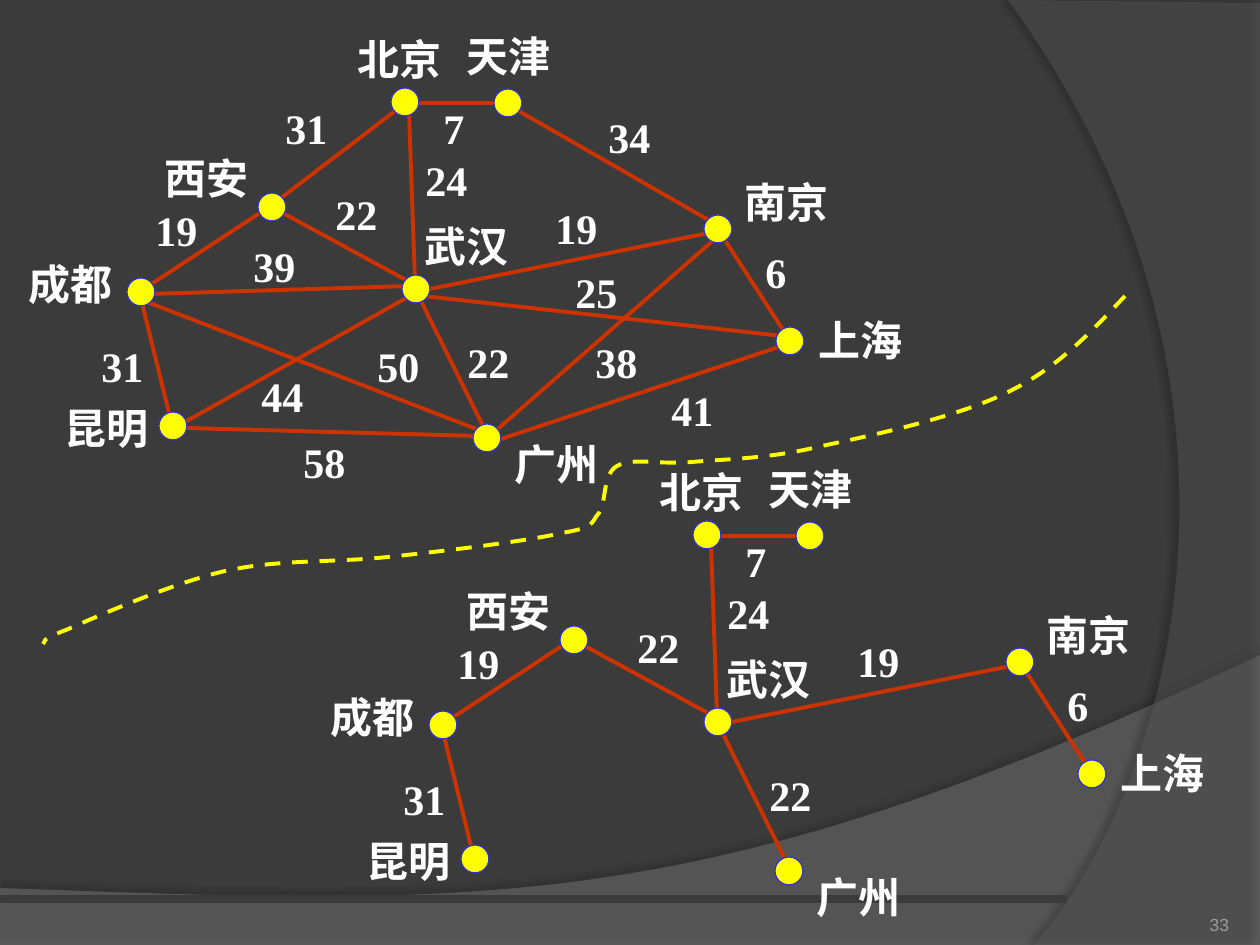
from collections import namedtuple

from lxml.etree import SubElement
from pptx import Presentation
from pptx.dml.color import RGBColor
from pptx.enum.dml import MSO_LINE
from pptx.enum.shapes import MSO_CONNECTOR, MSO_SHAPE
from pptx.enum.text import MSO_ANCHOR, MSO_AUTO_SIZE, PP_ALIGN
from pptx.oxml.ns import qn
from pptx.util import Pt

PX = 914400 // 126
BACKGROUND = RGBColor(0x3B, 0x3B, 0x3B)
SWEEP_GRAY = RGBColor(0x7F, 0x7F, 0x7F)
ARC_GRAY = RGBColor(0x5E, 0x5E, 0x5E)
EDGE_RED = RGBColor(0xCC, 0x33, 0x00)
YELLOW = RGBColor(0xFF, 0xFF, 0x00)
DOT_BLUE = RGBColor(0x33, 0x33, 0xCC)
WHITE = RGBColor(0xFF, 0xFF, 0xFF)
NUMBER_GRAY = RGBColor(0x9D, 0x9B, 0x9A)

DOT_SIZE = 28
LABEL_HEIGHT = 63
CITY_WIDTH = 110
WEIGHT_WIDTHS = {1: 47, 2: 67}
TREE_OFFSET = (302, 433)

City = namedtuple("City", "name dot label")
Edge = namedtuple("Edge", "start end weight label in_tree")

CITIES = [
    City("武汉", (402, 275), (412, 214)),
    City("昆明", (159, 412), (52, 396)),
    City("南京", (704, 215), (732, 170)),
    City("北京", (391, 88), (345, 27)),
    City("上海", (776, 327), (806, 308)),
    City("成都", (127, 278), (16, 252)),
    City("西安", (258, 193), (152, 146)),
    City("广州", (473, 424), (502, 432)),
    City("天津", (494, 89), (454, 24)),
]
EDGES = [
    Edge((418, 295), (488, 436), 22, (455, 330), True),
    Edge((150, 285), (266, 209), 19, (143, 198), True),
    Edge((281, 198), (399, 108), 31, (273, 96), False),
    Edge((171, 421), (140, 295), 31, (89, 334), True),
    Edge((185, 422), (410, 296), 44, (249, 364), False),
    Edge((409, 110), (415, 281), 24, (413, 148), True),
    Edge((425, 290), (709, 233), 19, (543, 196), True),
    Edge((491, 435), (716, 238), 38, (583, 330), False),
    Edge((723, 237), (785, 333), 6, (753, 240), True),
    Edge((498, 440), (788, 344), 41, (659, 378), False),
    Edge((185, 428), (478, 436), 58, (291, 430), False),
    Edge((151, 294), (411, 286), 39, (241, 234), False),
    Edge((281, 212), (417, 286), 22, (323, 182), True),
    Edge((147, 302), (484, 432), 50, (365, 334), False),
    Edge((423, 296), (782, 336), 25, (563, 260), False),
    Edge((418, 103), (494, 103), 7, (431, 96), True),
    Edge((517, 110), (712, 222), 34, (596, 105), False),
]

# Each outline is a list of steps: one point for a line, three for a curve
SWEEP = [[(0, 888)], [(0, 946)], [(1260, 946)], [(1260, 655)],
         [(704, 919), (493, 906), (0, 888)]]
ARC = [[(1260, 3)], [(1260, 945)], [(1034, 945)],
       [(1178, 780), (1283, 378), (1008, 0)], [(1260, 3)]]
DIVIDER = [
    [(1125, 296)],
    [(1092, 331), (1058, 368), (1008, 392)],
    [(958, 417), (874, 435), (822, 446)],
    [(769, 459), (726, 459), (692, 462)],
    [(658, 465), (634, 457), (617, 466)],
    [(602, 475), (607, 501), (599, 513)],
    [(590, 523), (597, 527), (562, 533)],
    [(528, 541), (445, 551), (388, 557)],
    [(331, 563), (275, 559), (221, 572)],
    [(168, 585), (96, 617), (66, 630)],
    [(37, 641), (47, 641), (43, 644)],
]


def add_outline(page, steps, close):
    ends = [(step[-1][0] * PX, step[-1][1] * PX) for step in steps]
    builder = page.shapes.build_freeform(*ends[0], scale=1.0)
    builder.add_line_segments(ends[1:], close=close)
    shape = builder.convert_to_shape()
    shape.shadow.inherit = False
    # Turn the segments with control points into Bezier curves
    segments = list(shape._element.iter(qn("a:lnTo")))
    for segment, step in zip(segments, steps[1:]):
        if len(step) == 3:
            segment.tag = qn("a:cubicBezTo")
            segment.remove(segment[0])
            for x, y in step:
                SubElement(segment, qn("a:pt"), x=str(x * PX - shape.left),
                           y=str(y * PX - shape.top))
    return shape


def add_backdrop(page, steps, color, opacity, shadow):
    shape = add_outline(page, steps, True)
    shape.fill.solid()
    shape.fill.fore_color.rgb = color
    shape.line.fill.background()
    properties = shape._element.spPr
    fill_color = properties.find(qn("a:solidFill"))[0]
    SubElement(fill_color, qn("a:alpha"), val=str(opacity * 1000))
    strength, blur, distance, angle = shadow
    outer = SubElement(properties.find(qn("a:effectLst")), qn("a:outerShdw"),
                       blurRad=str(Pt(blur)), dist=str(Pt(distance)),
                       dir=str(angle * 60000), algn="ctr", rotWithShape="0")
    black = SubElement(outer, qn("a:srgbClr"), val="000000")
    SubElement(black, qn("a:alpha"), val=str(strength * 1000))


def add_line(holder, start, end, color, width):
    line = holder.shapes.add_connector(
        MSO_CONNECTOR.STRAIGHT, *(value * PX for value in start + end))
    line.line.color.rgb = color
    line.line.width = Pt(width)
    SubElement(line._element.spPr, qn("a:effectLst"))


def add_dot(holder, left, top):
    dot = holder.shapes.add_shape(
        MSO_SHAPE.OVAL, left * PX, top * PX, DOT_SIZE * PX, DOT_SIZE * PX)
    dot.shadow.inherit = False
    dot.fill.solid()
    dot.fill.fore_color.rgb = YELLOW
    dot.line.color.rgb = DOT_BLUE
    dot.line.width = Pt(0.75)


def add_text(holder, left, top, width, height, text, font, size, color, bold=False):
    box = holder.shapes.add_textbox(left * PX, top * PX, width * PX, height * PX)
    para = box.text_frame.paragraphs[0]
    span = para.add_run()
    span.text = text
    span.font.name = font
    span.font.size = Pt(size)
    span.font.bold = bold
    span.font.color.rgb = color
    return box.text_frame


def add_label(holder, left, top, width, text):
    frame = add_text(holder, left, top, width, LABEL_HEIGHT, text,
                     "Times New Roman", 24, WHITE, True)
    frame.word_wrap = False
    frame.auto_size = MSO_AUTO_SIZE.SHAPE_TO_FIT_TEXT


def add_network(page, edges, offset=(0, 0)):
    group = page.shapes.add_group_shape()

    def shift(point):
        return point[0] + offset[0], point[1] + offset[1]

    for edge in edges:
        add_line(group, shift(edge.start), shift(edge.end), EDGE_RED, 2.25)
    for city in CITIES:
        add_dot(group, *shift(city.dot))
    for city in CITIES:
        add_label(group, *shift(city.label), CITY_WIDTH, city.name)
    for edge in edges:
        weight = str(edge.weight)
        add_label(group, *shift(edge.label), WEIGHT_WIDTHS[len(weight)], weight)


def add_divider(page):
    divider = add_outline(page, DIVIDER, False)
    divider.fill.background()
    divider.line.color.rgb = YELLOW
    divider.line.width = Pt(2.25)
    divider.line.dash_style = MSO_LINE.DASH


def add_page_number(page):
    frame = add_text(page, 1124, 885, 105, 50, "33", "Arial", 10, NUMBER_GRAY)
    frame.word_wrap = True
    frame.vertical_anchor = MSO_ANCHOR.BOTTOM
    frame.margin_left = frame.margin_right = 0
    frame.margin_top = frame.margin_bottom = 0
    frame.paragraphs[0].alignment = PP_ALIGN.RIGHT


def main():
    deck = Presentation()
    deck.slide_width, deck.slide_height = 1260 * PX, 945 * PX
    page = deck.slides.add_slide(deck.slide_layouts[6])

    # Background
    page.background.fill.solid()
    page.background.fill.fore_color.rgb = BACKGROUND
    add_backdrop(page, SWEEP, SWEEP_GRAY, 45, (35, 4, 3.5, 270))
    add_backdrop(page, ARC, ARC_GRAY, 40, (45, 4, 4, 180))
    add_line(page, (0, 899), (1067, 899), BACKGROUND, 4.5)

    # Spanning tree, divider and full network
    add_network(page, [edge for edge in EDGES if edge.in_tree], TREE_OFFSET)
    add_divider(page)
    add_network(page, EDGES)

    add_page_number(page)
    deck.save("out.pptx")


main()
